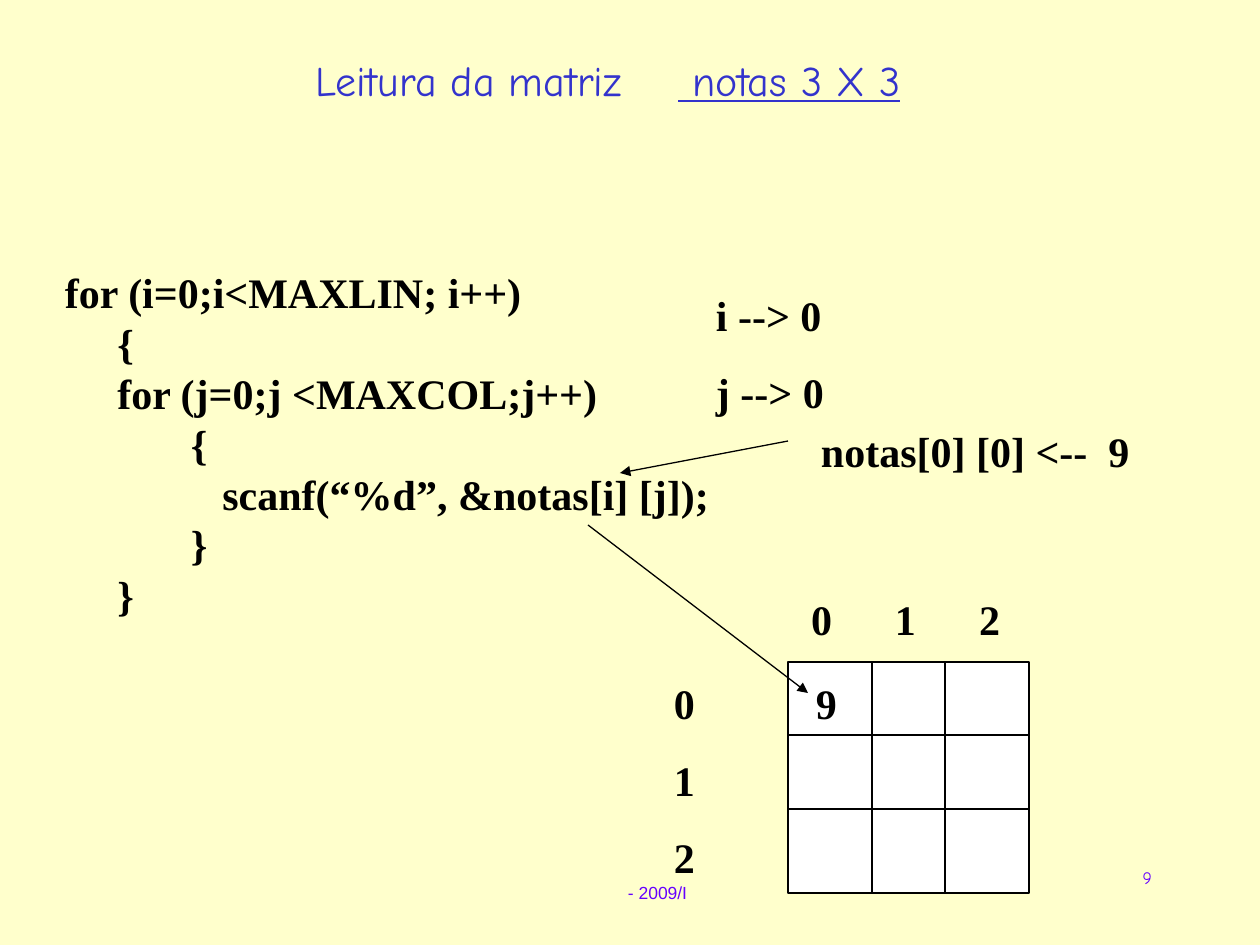
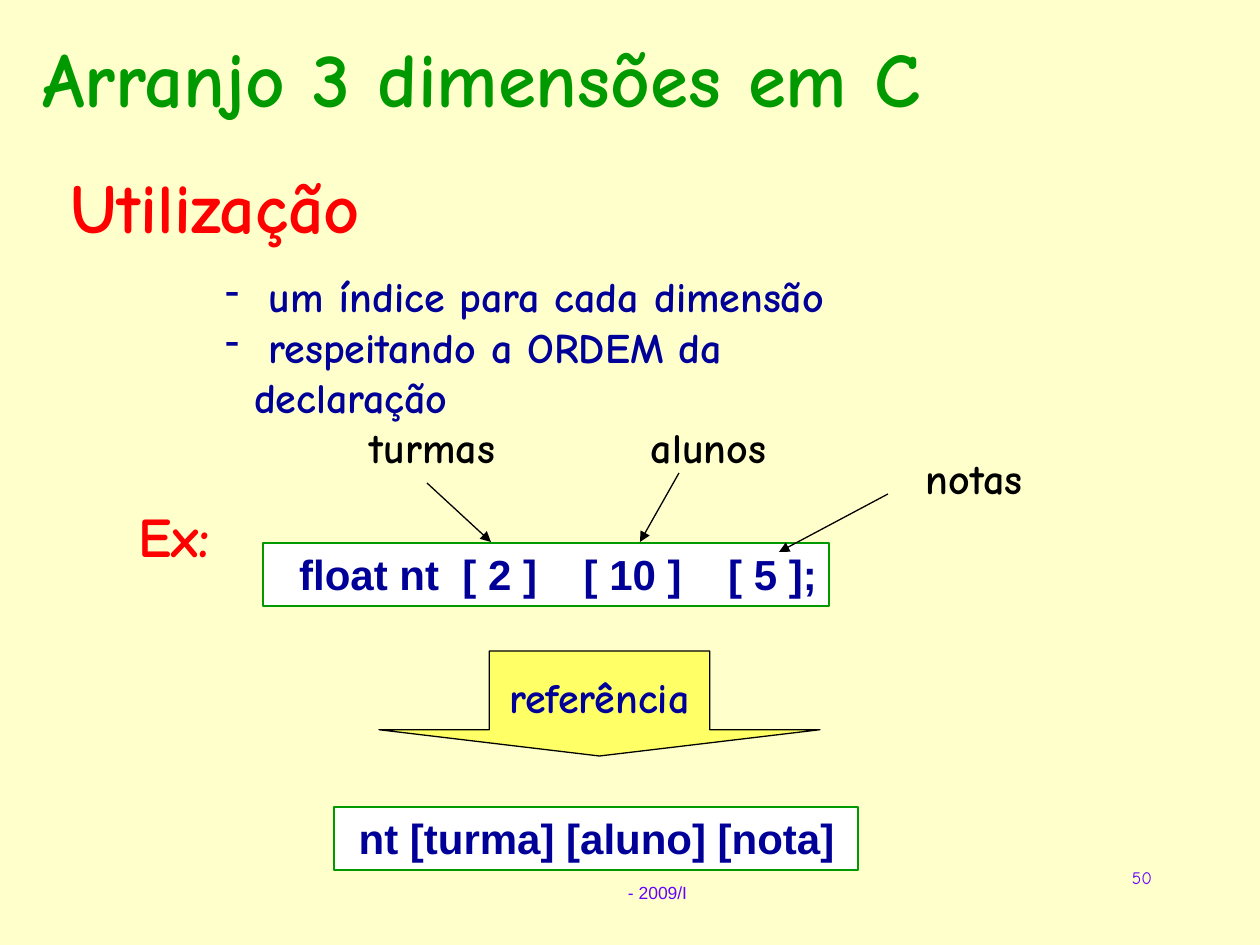
from pptx import Presentation
from pptx.dml.color import RGBColor
from pptx.enum.shapes import MSO_CONNECTOR as CONN, MSO_SHAPE as SHAPE
from pptx.enum.text import MSO_ANCHOR as ANCHOR, MSO_AUTO_SIZE as AUTO, PP_ALIGN as ALIGN
from pptx.oxml.ns import qn
from pptx.util import Emu, Pt
from lxml.etree import SubElement

EMU_PER_PX = 914400 / 126
BLACK, WHITE, CREAM = "000000", "FFFFFF", "FFFFCC"
BLUE, NAVY, VIOLET = "3333CC", "000099", "6600FF"
GREEN, RED, YELLOW = "009900", "FF0000", "FFFF66"

SERIF = dict(name="Times New Roman", size=24, bold=True, color=BLACK)
ARIAL = dict(name="Arial", size=24, bold=True, color=NAVY)
COMIC = dict(name="Comic Neue", size=24, bold=True, color=BLACK)
HEADING = dict(COMIC, color=RED)
SMALL = dict(size=10, bold=False, color=VIOLET)


def px(n):
    return Emu(round(n * EMU_PER_PX))


def rgb(value):
    return RGBColor.from_string(value)


class Deck:
    def __init__(self):
        self.prs = Presentation()
        self.prs.slide_width, self.prs.slide_height = px(1260), px(945)
        fill = self.prs.slide_master.background.fill
        fill.solid()
        fill.fore_color.rgb = rgb(CREAM)
        self.s = None

    def slide(self, number):
        self.s = self.prs.slides.add_slide(self.prs.slide_layouts[5])
        self.text((615, 876, 90, 34), ["- 2009/I"], dict(ARIAL, **SMALL))
        self.text((903, 861, 262, 63), [number], dict(COMIC, **SMALL), align=ALIGN.RIGHT)

    def run(self, p, text, fmt):
        r = p.add_run()
        r.text = text
        for key, value in fmt.items():
            if key == "color":
                r.font.color.rgb = rgb(value)
            else:
                setattr(r.font, key, Pt(value) if key == "size" else value)

    def paragraph_marks(self, p, bullet, tabs):
        pPr = p._p.get_or_add_pPr()
        if bullet:
            pPr.set("marL", str(px(29)))
            pPr.set("indent", str(-px(29)))
            color = SubElement(pPr, qn("a:buClr"))
            SubElement(color, qn("a:srgbClr"), val=NAVY)
            SubElement(pPr, qn("a:buChar"), char=bullet)
        if tabs:
            tab_list = SubElement(pPr, qn("a:tabLst"))
            for pos in tabs:
                SubElement(tab_list, qn("a:tab"), pos=str(px(pos)), algn="l")

    def fill_text(self, tf, lines, fmt, align=ALIGN.LEFT, anchor=ANCHOR.TOP, wrap=True,
                  before=0, spacing=None, bullet=None, tabs=()):
        frame = dict(word_wrap=wrap, auto_size=AUTO.NONE, vertical_anchor=anchor,
                     margin_left=px(13), margin_right=px(13), margin_top=px(6), margin_bottom=px(6))
        for key, value in frame.items():
            setattr(tf, key, value)
        for i, line in enumerate(lines):
            p = tf.add_paragraph() if i else tf.paragraphs[0]
            self.paragraph_marks(p, bullet, tabs)
            p.alignment = align
            p.line_spacing = spacing or Pt(fmt["size"] * 1.2)
            p.space_before = Pt(before if i else 0)
            for part in [line] if isinstance(line, str) else line:
                text, extra = (part, {}) if isinstance(part, str) else part
                self.run(p, text, {**fmt, **extra})

    def text(self, box, lines, fmt, **layout):
        sp = self.s.shapes.add_textbox(*map(px, box))
        self.fill_text(sp.text_frame, lines, fmt, **layout)

    def title(self, box, line, fmt, **layout):
        sp = self.s.shapes.title
        for key, value in zip(("left", "top", "width", "height"), box):
            setattr(sp, key, px(value))
        self.fill_text(sp.text_frame, [line], fmt, **layout)

    def shape(self, kind, box, fill, line, lines=(), fmt=None, **layout):
        sp = self.s.shapes.add_shape(kind, *map(px, box))
        sp.shadow.inherit = False
        sp.fill.solid()
        sp.fill.fore_color.rgb = rgb(fill)
        sp.line.color.rgb = rgb(line)
        sp.line.width = Pt(0.75)
        if lines:
            self.fill_text(sp.text_frame, lines, fmt, wrap=False, **layout)
        return sp

    def line(self, x1, y1, x2, y2, arrow=False):
        c = self.s.shapes.add_connector(CONN.STRAIGHT, *map(px, (x1, y1, x2, y2)))
        c.line.color.rgb = rgb(BLACK)
        c.line.width = Pt(0.75)
        if arrow:
            SubElement(c.line._get_or_add_ln(), qn("a:tailEnd"), type="triangle")
        SubElement(c._element.spPr, qn("a:effectLst"))


def matrix_slide(d):
    d.slide("9")
    d.title((302, 48, 872, 63), ["Leitura da matriz\t", (" notas 3 X 3", dict(underline=True))],
            dict(COMIC, bold=False, color=BLUE), tabs=[363])
    code = ["for (i=0;i<MAXLIN; i++)",
            "     {",
            "     for (j=0;j <MAXCOL;j++)",
            "         \t{",
            "     \t   scanf(“%d”, &notas[i] [j]);",
            "\t}",
            "     }"]
    d.text((52, 261, 690, 366), code, SERIF, tabs=[126])

    left, top, right, bottom = 788, 662, 1029, 893
    d.shape(SHAPE.RECTANGLE, (left, top, right - left, bottom - top), WHITE, BLACK)
    for y in (735, 809):
        d.line(left, y, right, y)
    for x in (872, 945):
        d.line(x, top, x, bottom)

    d.text((798, 588, 231, 63), ["0\t1\t2"], SERIF, tabs=[84, 168])
    d.text((661, 672, 63, 217), ["0", "1", "2"], SERIF, before=15)
    d.text((703, 284, 494, 140), ["i --> 0", "j --> 0"], SERIF, before=15)
    d.text((803, 672, 60, 63), ["9"], SERIF)
    d.text((808, 420, 410, 63), ["notas[0] [0] <--  9"], SERIF)
    d.line(788, 441, 620, 473, arrow=True)
    d.line(588, 525, 808, 693, arrow=True)


def array_slide(d):
    d.slide("50")
    d.title((29, 42, 1158, 100), "Arranjo 3 dimensões em C",
            dict(COMIC, size=44, color=GREEN), spacing=0.8)
    d.text((58, 158, 325, 97), ["Utilização"], dict(HEADING, size=40))
    d.text((125, 495, 117, 81), ["Ex:"], dict(HEADING, size=32))
    d.text((212, 265, 700, 165), [" um índice para cada dimensão",
                                  " respeitando a ORDEM da declaração"],
           dict(COMIC, color=NAVY), bullet="-")

    for label, x, y in (("turmas", 357, 416), ("alunos", 638, 416), ("notas", 913, 447)):
        d.text((x, y, 165, 63), [label], COMIC)

    d.shape(SHAPE.RECTANGLE, (263, 543, 566, 63), WHITE, GREEN,
            ["  float nt  [ 2 ]    [ 10 ]    [ 5 ];"], ARIAL)
    d.shape(SHAPE.RECTANGLE, (334, 807, 524, 63), WHITE, GREEN,
            [" nt [turma] [aluno] [nota]"], ARIAL)
    arrow = d.shape(SHAPE.DOWN_ARROW, (379, 651, 441, 105), YELLOW, BLACK, ["referência"],
                    dict(COMIC, color=NAVY), align=ALIGN.CENTER, anchor=ANCHOR.MIDDLE)
    arrow.adjustments[0], arrow.adjustments[1] = 0.5, 0.25

    for ends in ((427, 483, 491, 542), (679, 473, 640, 542), (888, 494, 779, 552)):
        d.line(*ends, arrow=True)


def main():
    d = Deck()
    matrix_slide(d)
    array_slide(d)
    d.prs.save("out.pptx")


if __name__ == "__main__":
    main()
